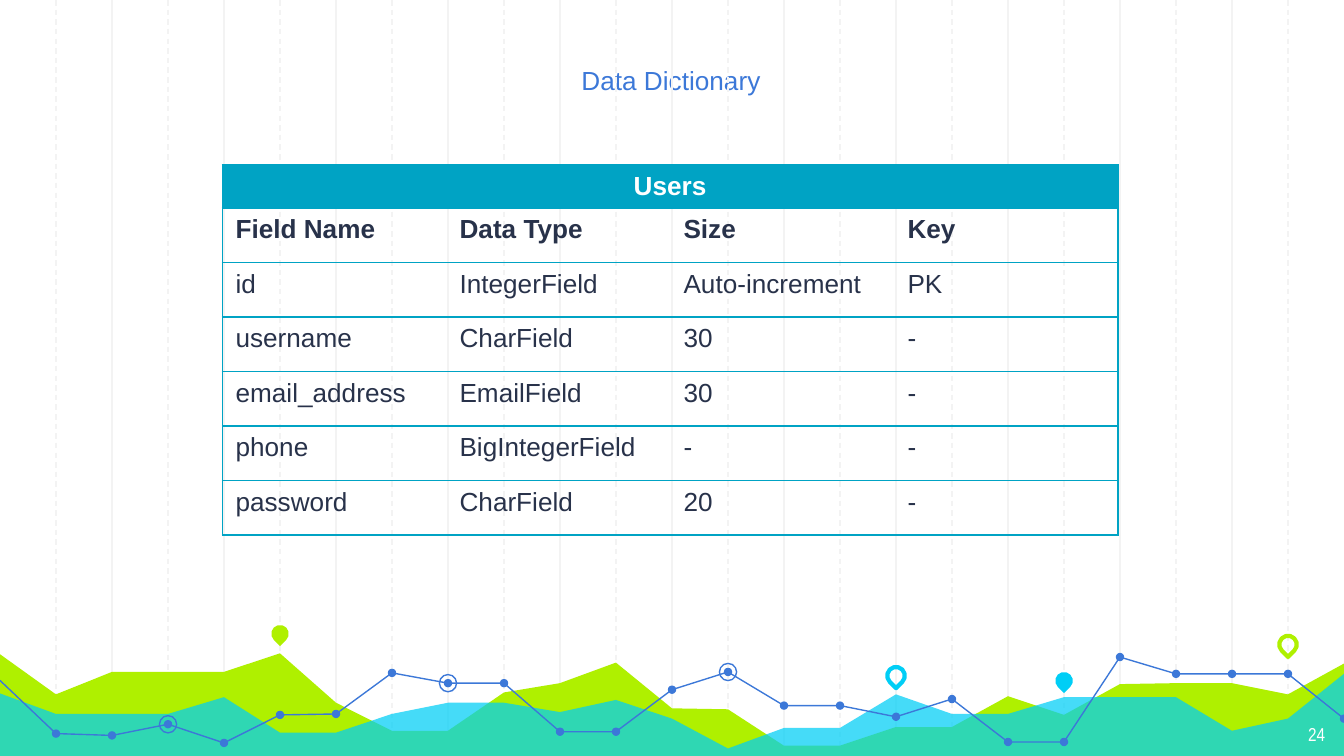
from lxml.etree import SubElement
from pptx import Presentation
from pptx.dml.color import RGBColor
from pptx.enum.dml import MSO_LINE
from pptx.enum.shapes import MSO_CONNECTOR, MSO_SHAPE
from pptx.enum.text import MSO_ANCHOR as ANCHOR, MSO_AUTO_SIZE, PP_ALIGN as ALIGN
from pptx.oxml.ns import qn
from pptx.util import Pt

COLORS = {
    "grid": "F3F3F3", "green": "AFF000", "cyan": "00CEF6", "blue": "3C78D8",
    "teal": "00A3C4", "ink": "28324A", "white": "FFFFFF",
}
STEP = 30
BOTTOM = 407


def write(frame, text, size=14, font="Arial", color="ink", bold=False,
          align=ALIGN.LEFT, anchor=ANCHOR.TOP, inset=None):
    frame.word_wrap = True
    frame.vertical_anchor = anchor
    if inset is not None:
        frame.auto_size = MSO_AUTO_SIZE.NONE
        frame.margin_left = frame.margin_right = Pt(inset)
        frame.margin_top = frame.margin_bottom = Pt(inset)
    paragraph = frame.paragraphs[0]
    paragraph.alignment = align
    run = paragraph.add_run()
    run.text = text
    run.font.size = Pt(size)
    run.font.name = font
    run.font.bold = bold
    run.font.color.rgb = RGBColor.from_string(COLORS[color])


def paint(shape, fill=None, line=None, width=0.75):
    shape.shadow.inherit = False
    for part, color in ((shape.fill, fill), (shape.line.fill, line)):
        if color:
            part.solid()
            part.fore_color.rgb = RGBColor.from_string(COLORS[color])
        else:
            part.background()
    if line:
        shape.line.width = Pt(width)


prs = Presentation()
prs.slide_width, prs.slide_height = Pt(720), Pt(405)
slide = prs.slides.add_slide(prs.slide_layouts[5])
shapes = slide.shapes

for column in [*range(2, 24, 2), *range(1, 24, 2)]:
    x = Pt(column * STEP)
    grid_line = shapes.add_connector(MSO_CONNECTOR.STRAIGHT, x, 0, x, Pt(BOTTOM))
    grid_line.line.color.rgb = RGBColor.from_string(COLORS["grid"])
    grid_line.line.width = Pt(0.75)
    if column % 2:
        grid_line.line.dash_style = MSO_LINE.DASH
    SubElement(grid_line._element.spPr, qn("a:effectLst"))

green_hills = [350.5, 372, 360, 360, 360, 350, 376.5, 391.5, 391.5, 371, 366, 355, 379.5,
               380, 399.5, 399.5, 389.5, 389.5, 373, 383, 366.5, 366, 366, 372, 355.5]
cyan_hills = [371.5, 382.5, 382.5, 382.5, 373.5, 392.5, 392.5, 382.5, 376.5, 376.5, 381.5, 375,
              385, 401, 390, 390, 372, 382.5, 382.5, 373.5, 373.5, 373.5, 391.5, 385, 361]
trend = [364.5, 393, 394, 388, 398, 383, 382.5, 360.5, 366, 366, 392, 392, 369.5,
         360, 378, 378, 384, 374.5, 397.5, 397.5, 352, 361, 361, 361, 385]

for heights, fill, line, opacity in (
    (green_hills, "green", None, None),
    (cyan_hills, "cyan", None, 73),
    (trend, None, "blue", None),
):
    points = [(Pt(i * STEP), Pt(y)) for i, y in enumerate(heights)]
    if fill:
        points += [(Pt(720), Pt(BOTTOM)), (0, Pt(BOTTOM))]
    builder = shapes.build_freeform(*points[0])
    builder.add_line_segments(points[1:], close=bool(fill))
    curve = builder.convert_to_shape()
    paint(curve, fill, line)
    if opacity:
        rgb = curve._element.spPr.find(qn("a:solidFill"))[0]
        SubElement(rgb, qn("a:alpha"), val=str(opacity * 1000))

dots = [(MSO_SHAPE.OVAL, i, trend[i], 4.5, "blue", None, 0) for i in range(1, 25)]
rings = [(MSO_SHAPE.OVAL, i, trend[i], 9.2, None, "blue", 0.75) for i in (3, 8, 13)]
pins = [
    (MSO_SHAPE.TEAR, 5, 339.5, 9.4, "green", None, 0),
    (MSO_SHAPE.TEAR, 16, 362, 9.4, None, "cyan", 2.25),
    (MSO_SHAPE.TEAR, 19, 364.7, 9.4, "cyan", None, 0),
    (MSO_SHAPE.TEAR, 23, 345.3, 9.4, None, "green", 2.25),
]
for kind, column, y, size, fill, line, width in dots + rings + pins:
    marker = shapes.add_shape(kind, Pt(column * STEP - size / 2), Pt(y - size / 2),
                              Pt(size), Pt(size))
    paint(marker, fill, line, width)
    if kind == MSO_SHAPE.TEAR:
        marker.rotation = 135

page_number = shapes.add_textbox(Pt(674), Pt(380), Pt(43), Pt(25))
write(page_number.text_frame, "24", size=10, font="Arial Narrow", color="white",
      align=ALIGN.RIGHT, inset=7.2)

fields = [
    ["Users", "", "", ""],
    ["Field Name", "Data Type", "Size", "Key"],
    ["id", "IntegerField", "Auto-increment", "PK"],
    ["username", "CharField", "30", "-"],
    ["email_address", "EmailField", "30", "-"],
    ["phone", "BigIntegerField", "-", "-"],
    ["password", "CharField", "20", "-"],
]
users = shapes.add_table(7, 4, Pt(119), Pt(88.2), Pt(480), Pt(198.5)).table
for column in users.columns:
    column.width = Pt(120)
for r, row in enumerate(fields):
    users.rows[r].height = Pt(29.2 if r else 23.3)
    for c, text in enumerate(row):
        cell = users.cell(r, c)
        edges = {"L": c == 0, "R": c == 3 or r == 0, "T": True, "B": True}
        for side, visible in edges.items():
            edge = SubElement(cell._tc.get_or_add_tcPr(), qn(f"a:ln{side}"), w=str(Pt(0.75)))
            paint_tag = SubElement(edge, qn("a:solidFill" if visible else "a:noFill"))
            if visible:
                SubElement(paint_tag, qn("a:srgbClr"), val=COLORS["teal"])
        if r == 0:
            cell.fill.solid()
            cell.fill.fore_color.rgb = RGBColor.from_string(COLORS["teal"])
        else:
            cell.fill.background()
        if text:
            write(cell.text_frame, text, bold=r < 2, color="ink" if r else "white",
                  align=ALIGN.LEFT if r else ALIGN.CENTER)
users.cell(0, 0).merge(users.cell(0, 3))

heading = shapes.title
heading.left, heading.top, heading.width, heading.height = Pt(84), Pt(26), Pt(551), Pt(32.4)
write(heading.text_frame, "Data Dictionary", color="blue", align=ALIGN.CENTER,
      anchor=ANCHOR.BOTTOM, inset=7.2)

prs.save("out.pptx")
